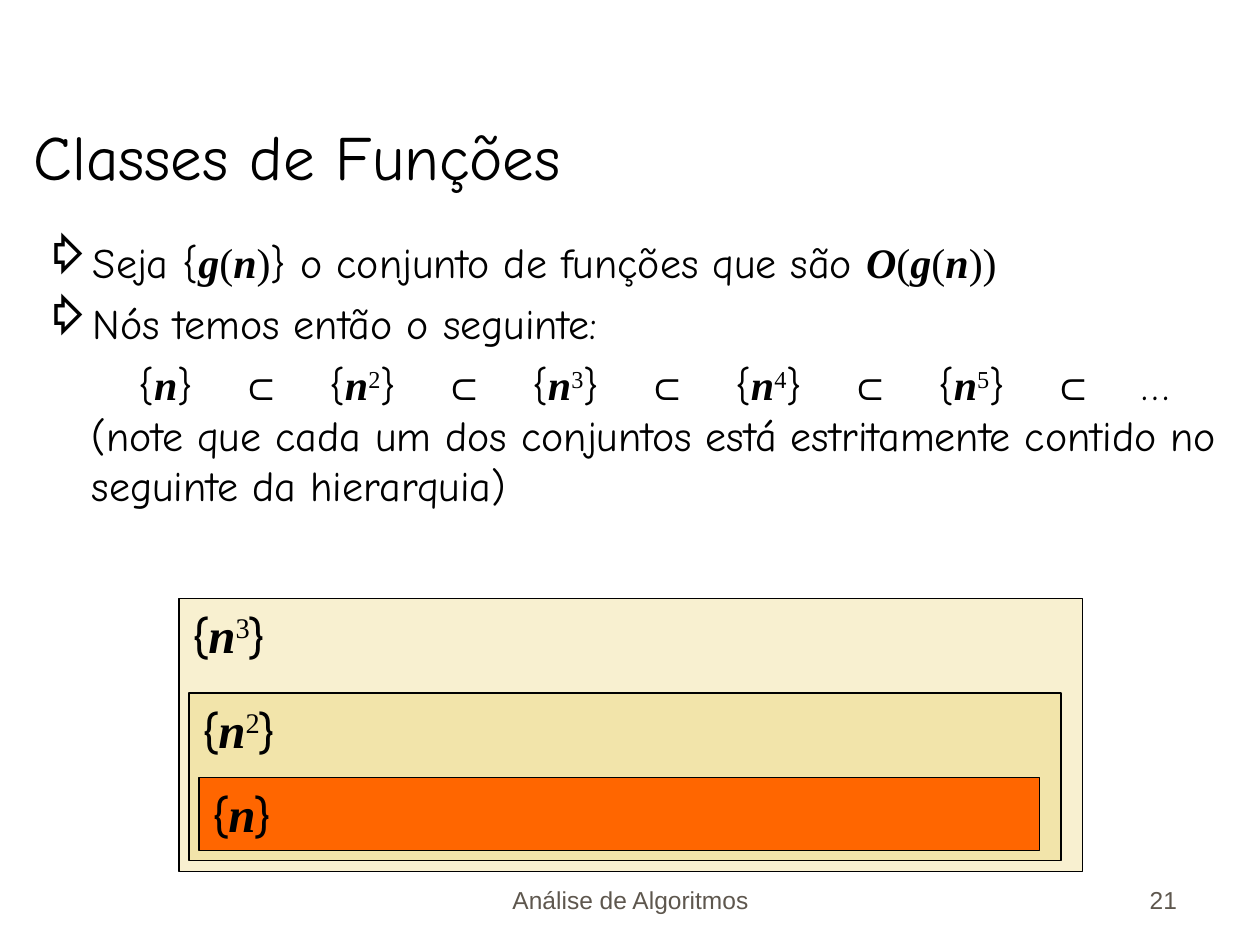
from pptx import Presentation
from pptx.dml.color import RGBColor
from pptx.enum.shapes import MSO_SHAPE
from pptx.enum.text import MSO_ANCHOR, PP_ALIGN
from pptx.oxml.xmlchemy import OxmlElement
from pptx.util import Inches, Pt

BLACK, GREY = "000000", "5E574E"
VARIABLE, ROMAN, POWER, SYMBOL = "variable", "roman", "power", "symbol"
MATH_FONTS = {VARIABLE: "Times New Roman", ROMAN: "Times New Roman",
              POWER: "Times New Roman", SYMBOL: "Arial"}


def function_class(power, before="", after=""):
    """Return the runs that write a set of functions such as {n²}."""
    exponent = [(power, POWER)] if power else []
    return [(before + "{", None), ("n", VARIABLE), *exponent, ("}" + after, None)]


TITLE = "Classes de Funções"
BULLETS = [
    [("Seja {", None), ("g", VARIABLE), ("(", ROMAN), ("n", VARIABLE), (")", ROMAN),
     ("} o conjunto de funções que são ", None), ("O", VARIABLE), ("(", ROMAN),
     ("g", VARIABLE), ("(", ROMAN), ("n", VARIABLE), ("))", ROMAN)],
    [("Nós temos então o seguinte:", None)],
]
CHAIN_POWERS = ["", "2", "3", "4", "5"]
CHAIN_NOTE = "(note que cada um dos conjuntos está estritamente contido no seguinte da hierarquia)"
NESTED_SETS = [
    ("3", "F8F0D0", (1.42, 4.75, 7.17, 2.17)),
    ("2", "F2E4AA", (1.5, 5.5, 6.92, 1.33)),
    ("", "FF6600", (1.58, 6.17, 6.67, 0.58)),
]
FOOTERS = [
    ("Análise de Algoritmos", (3.42, 6.81, 3.17, 0.5), PP_ALIGN.CENTER),
    ("21", (7.36, 6.81, 2.08, 0.5), PP_ALIGN.RIGHT),
]


def color(value):
    """Turn a hex string into a colour."""
    return RGBColor.from_string(value)


def add_text_box(slide, box, anchor=MSO_ANCHOR.TOP):
    """Add a wrapping text box and return its text frame."""
    frame = slide.shapes.add_textbox(*map(Inches, box)).text_frame
    frame.word_wrap = True
    frame.vertical_anchor = anchor
    return frame


def write(paragraph, runs, size, font, ink=BLACK):
    """Write styled runs into a paragraph."""
    paragraph.font.size = Pt(size)
    for text, style in runs:
        run = paragraph.add_run()
        run.text = text
        run.font.size = Pt(size)
        run.font.name = MATH_FONTS.get(style, font)
        run.font.color.rgb = color(ink)
        if style == VARIABLE:
            run.font.bold = run.font.italic = True
        if style == POWER:
            run.font._element.set("baseline", "30000")


def indent(paragraph, first, bullet=None):
    """Set the left margin, first-line indent and bullet of a paragraph."""
    properties = paragraph._p.get_or_add_pPr()
    properties.set("marL", str(Inches(0.38)))
    properties.set("indent", str(Inches(first)))
    if bullet:
        mark = OxmlElement("a:buChar")
        mark.set("char", bullet)
        properties.insert_element_before(mark, "a:tabLst", "a:defRPr", "a:extLst")


def add_body(slide):
    """Add the bullets and the chain of inclusions."""
    frame = add_text_box(slide, (0.25, 1.83, 9.5, 2.62))
    paragraphs = [frame.paragraphs[0], frame.add_paragraph(), frame.add_paragraph()]
    for paragraph in paragraphs:
        paragraph.alignment = PP_ALIGN.JUSTIFY
        paragraph.space_before = Pt(6)
    for paragraph, runs in zip(paragraphs, BULLETS):
        write(paragraph, runs, 24, "Comic Neue")
        indent(paragraph, -0.38, "⇨")
    chain = paragraphs[-1]
    indent(chain, 0.37)
    for position, power in enumerate(CHAIN_POWERS):
        runs = function_class(power, " " if position else "", " ")
        write(chain, runs + [("⊂", SYMBOL)], 24, "Comic Neue")
    write(chain, [(" … ", None)], 24, "Comic Neue")
    chain.add_line_break()
    write(chain, [(CHAIN_NOTE, None)], 24, "Comic Neue")


def add_nested_set(slide, power, fill, box):
    """Add one rectangle of the nested sets with its label."""
    shape = slide.shapes.add_shape(MSO_SHAPE.RECTANGLE, *map(Inches, box))
    shape.shadow.inherit = False
    shape.fill.solid()
    shape.fill.fore_color.rgb = color(fill)
    shape.line.color.rgb = color(BLACK)
    shape.line.width = Pt(0.75)
    frame = shape.text_frame
    frame.word_wrap = False
    frame.vertical_anchor = MSO_ANCHOR.TOP
    frame.paragraphs[0].alignment = PP_ALIGN.LEFT
    write(frame.paragraphs[0], function_class(power), 28, "Karla")


def main():
    """Build the slide and save it."""
    deck = Presentation()
    deck.slide_width, deck.slide_height = Inches(10), Inches(7.5)
    slide = deck.slides.add_slide(deck.slide_layouts[6])
    title = add_text_box(slide, (0.17, 0.5, 9.75, 1.08), MSO_ANCHOR.BOTTOM)
    write(title.paragraphs[0], [(TITLE, None)], 36, "Comic Neue")
    add_body(slide)
    for nested_set in NESTED_SETS:
        add_nested_set(slide, *nested_set)
    for text, box, alignment in FOOTERS:
        footer = add_text_box(slide, box, MSO_ANCHOR.BOTTOM).paragraphs[0]
        footer.alignment = alignment
        footer.space_before = Pt(8.8)
        write(footer, [(text, None)], 14, "Arial", GREY)
    deck.save("out.pptx")


if __name__ == "__main__":
    main()
